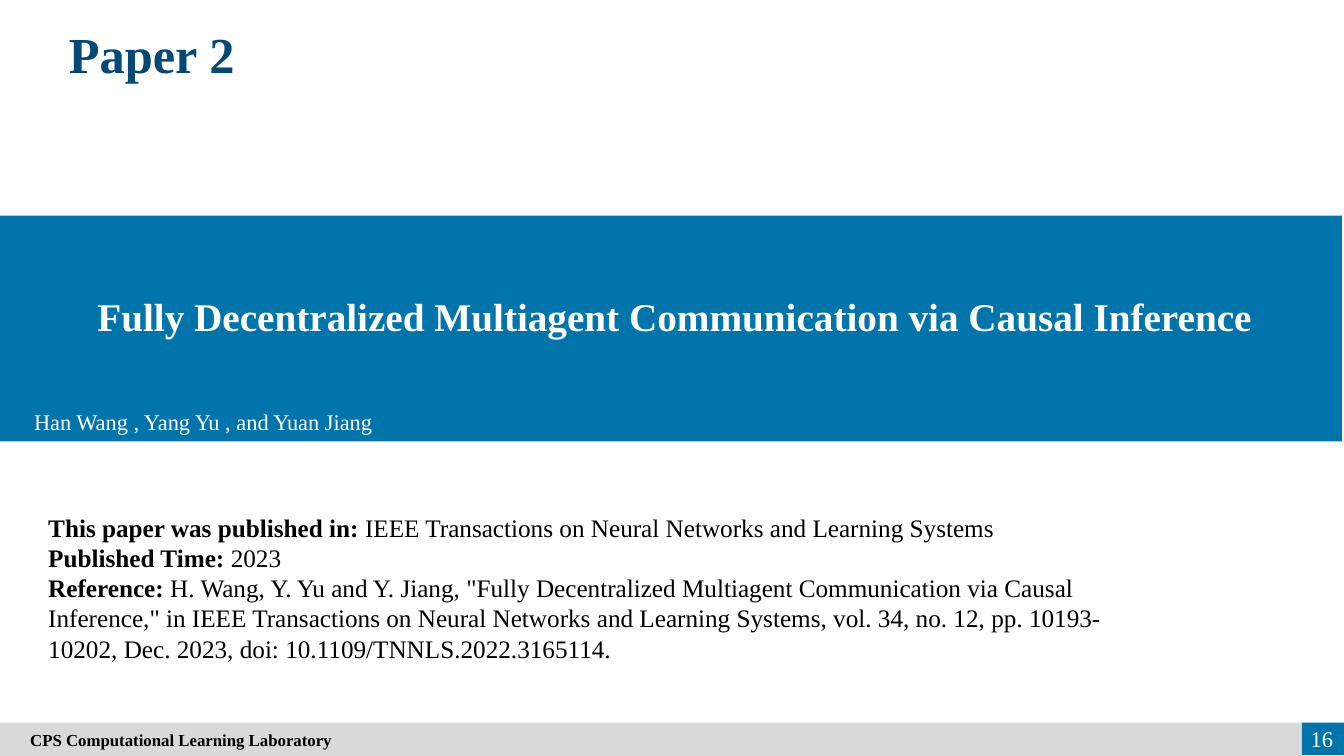
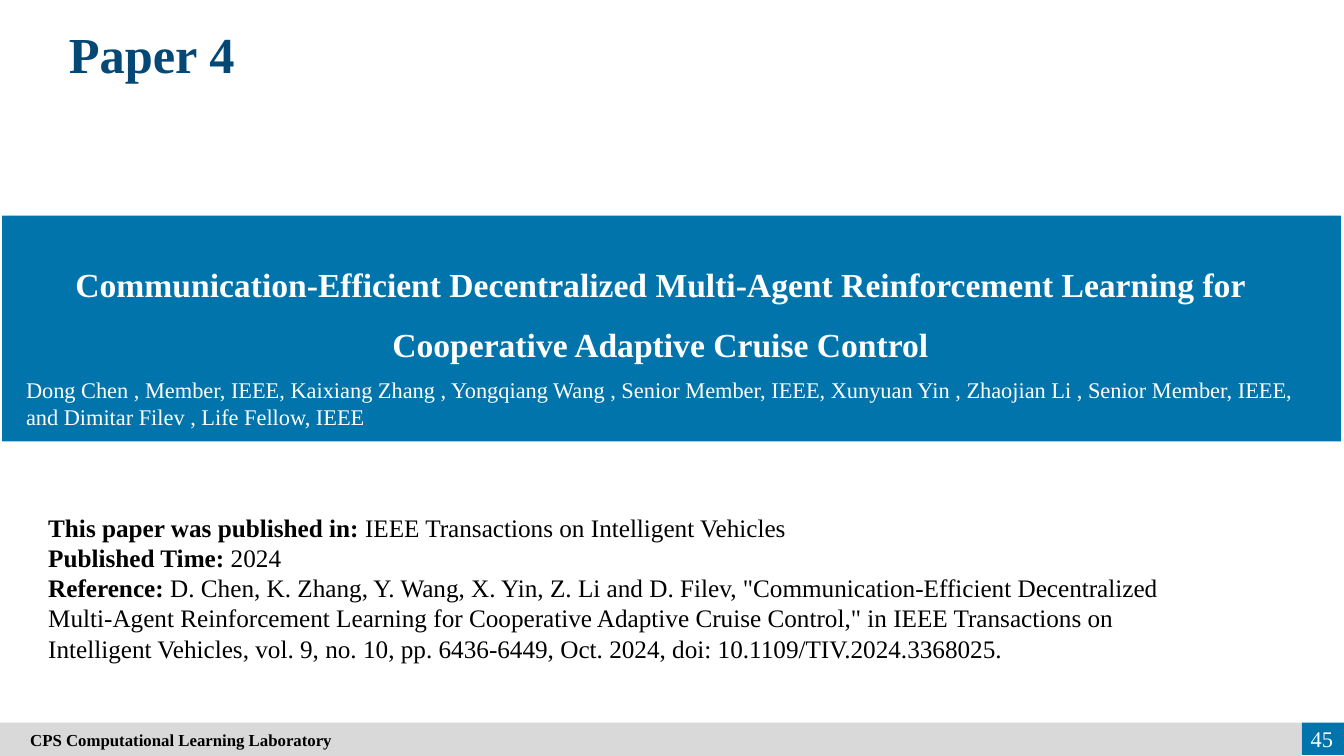
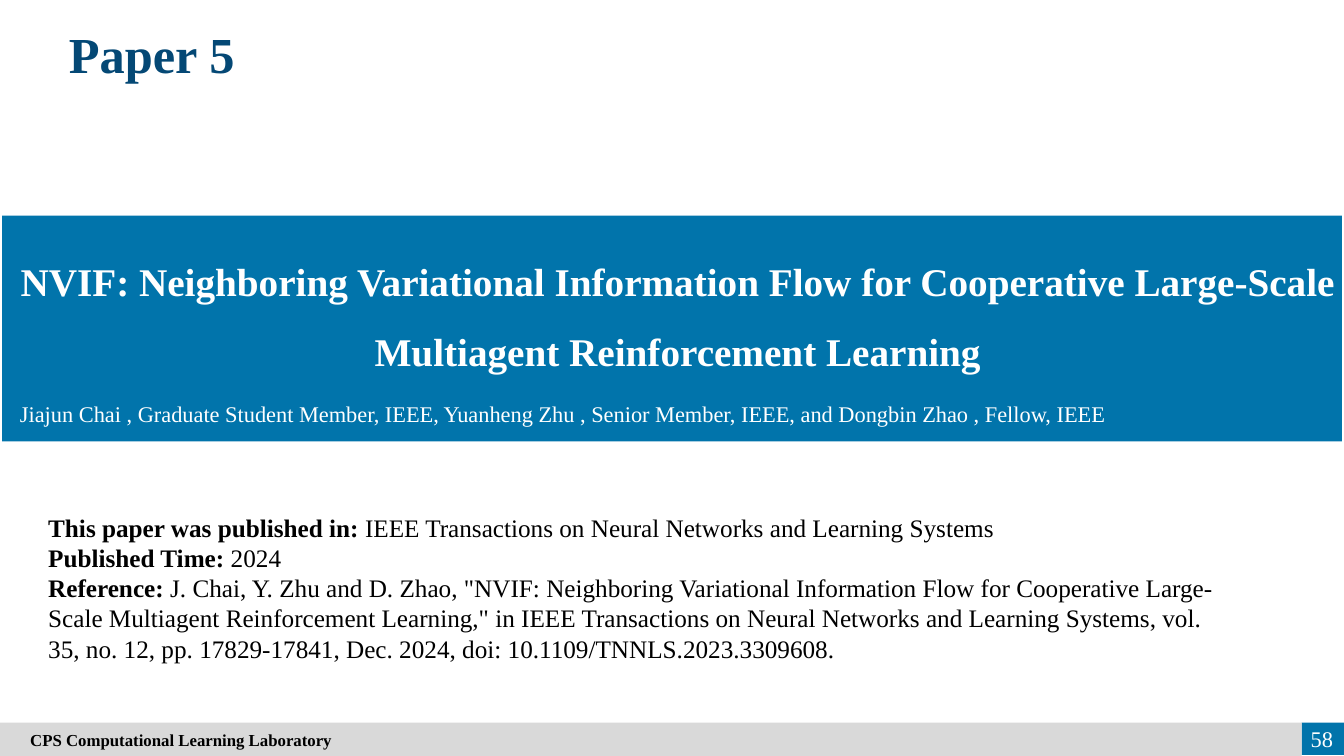
from dataclasses import dataclass

from pptx import Presentation
from pptx.dml.color import RGBColor
from pptx.enum import shapes, text
from pptx.util import Inches, Pt

FONT = "Times New Roman"
COLORS = {
    "band": "0174AB",
    "heading": "044875",
    "footer": "D9D9D9",
    "light": "FFFFFF",
    "dark": "000000",
}
LAB = "CPS Computational Learning Laboratory"
LEFT = text.PP_ALIGN.LEFT
CENTER = text.PP_ALIGN.CENTER
RIGHT = text.PP_ALIGN.RIGHT
TOP = text.MSO_ANCHOR.TOP
MIDDLE = text.MSO_ANCHOR.MIDDLE


@dataclass(frozen=True)
class Box:
    left: float
    top: float
    width: float
    height: float

    def lengths(self):
        return [Inches(v) for v in (self.left, self.top, self.width, self.height)]


@dataclass(frozen=True)
class Style:
    size: int
    color: str
    bold: bool = False
    align: text.PP_ALIGN = LEFT
    anchor: text.MSO_ANCHOR = TOP
    spacing: float = 1.0
    margin: float = 0.1


@dataclass(frozen=True)
class Paper:
    number: int
    page: int
    title: str
    title_box: Box
    title_size: int
    authors: str
    authors_left: float
    authors_top: float
    band_left: float
    band_width: float
    journal: str
    year: int
    reference: str
    details_width: float


HEADING = Style(36, "heading", bold=True, align=CENTER)
AUTHORS = Style(16, "light")
DETAILS = Style(18, "dark")
LAB_NAME = Style(12, "dark", bold=True, anchor=MIDDLE, margin=0.3)
PAGE = Style(16, "light", align=RIGHT, anchor=MIDDLE)

PAPERS = [
    Paper(
        number=2,
        page=16,
        title="Fully Decentralized Multiagent Communication via Causal Inference",
        title_box=Box(0.07, 2.61, 13.24, 0.81),
        title_size=28,
        authors="Han Wang , Yang Yu , and Yuan Jiang",
        authors_left=0.24,
        authors_top=4,
        band_left=0,
        band_width=13.31,
        journal="IEEE Transactions on Neural Networks and Learning Systems",
        year=2023,
        reference='H. Wang, Y. Yu and Y. Jiang, "Fully Decentralized Multiagent '
        'Communication via Causal Inference," in IEEE Transactions on Neural '
        "Networks and Learning Systems, vol. 34, no. 12, pp. 10193-10202, "
        "Dec. 2023, doi: 10.1109/TNNLS.2022.3165114.",
        details_width=10.85,
    ),
    Paper(
        number=4,
        page=45,
        title="Communication-Efficient Decentralized Multi-Agent Reinforcement "
        "Learning for Cooperative Adaptive Cruise Control",
        title_box=Box(0.03, 2.36, 13.04, 1.31),
        title_size=24,
        authors="Dong Chen , Member, IEEE, Kaixiang Zhang , Yongqiang Wang , "
        "Senior Member, IEEE, Xunyuan Yin , Zhaojian Li , Senior Member, IEEE, "
        "and Dimitar Filev , Life Fellow, IEEE",
        authors_left=0.16,
        authors_top=3.68,
        band_left=0.02,
        band_width=13.28,
        journal="IEEE Transactions on Intelligent Vehicles",
        year=2024,
        reference="D. Chen, K. Zhang, Y. Wang, X. Yin, Z. Li and D. Filev, "
        '"Communication-Efficient Decentralized Multi-Agent Reinforcement '
        'Learning for Cooperative Adaptive Cruise Control," in IEEE Transactions '
        "on Intelligent Vehicles, vol. 9, no. 10, pp. 6436-6449, Oct. 2024, "
        "doi: 10.1109/TIV.2024.3368025.",
        details_width=11.8,
    ),
    Paper(
        number=5,
        page=58,
        title="NVIF: Neighboring Variational Information Flow for Cooperative "
        "Large-Scale Multiagent Reinforcement Learning",
        title_box=Box(0.11, 2.26, 13.22, 1.51),
        title_size=28,
        authors="Jiajun Chai , Graduate Student Member, IEEE, Yuanheng Zhu , "
        "Senior Member, IEEE, and Dongbin Zhao , Fellow, IEEE",
        authors_left=0.1,
        authors_top=3.92,
        band_left=0.02,
        band_width=13.29,
        journal="IEEE Transactions on Neural Networks and Learning Systems",
        year=2024,
        reference='J. Chai, Y. Zhu and D. Zhao, "NVIF: Neighboring Variational '
        "Information Flow for Cooperative Large-Scale Multiagent Reinforcement "
        'Learning," in IEEE Transactions on Neural Networks and Learning Systems, '
        "vol. 35, no. 12, pp. 17829-17841, Dec. 2024, "
        "doi: 10.1109/TNNLS.2023.3309608.",
        details_width=11.87,
    ),
]


def rgb(name: str) -> RGBColor:
    return RGBColor.from_string(COLORS[name])


def style_paragraph(p, style: Style) -> None:
    p.alignment = style.align
    p.line_spacing = style.spacing
    p.font.name = FONT
    p.font.size = Pt(style.size)
    p.font.bold = style.bold
    p.font.color.rgb = rgb(style.color)


def setup_frame(sp, style: Style):
    tf = sp.text_frame
    tf.word_wrap = True
    tf.vertical_anchor = style.anchor
    tf.margin_left = tf.margin_right = Inches(style.margin)
    return tf


def write(sp, content: str, style: Style) -> None:
    p = setup_frame(sp, style).paragraphs[0]
    p.text = content
    style_paragraph(p, style)


def add_text(s, box: Box, content: str, style: Style) -> None:
    write(s.shapes.add_textbox(*box.lengths()), content, style)


def add_band(s, box: Box, color: str):
    sp = s.shapes.add_shape(shapes.MSO_SHAPE.RECTANGLE, *box.lengths())
    sp.shadow.inherit = False
    sp.fill.solid()
    sp.fill.fore_color.rgb = rgb(color)
    sp.line.fill.background()
    return sp


def add_details(s, paper: Paper) -> None:
    box = Box(0.38, 5.03, paper.details_width, 1.61)
    tf = setup_frame(s.shapes.add_textbox(*box.lengths()), DETAILS)
    entries = [
        ("This paper was published in: ", paper.journal),
        ("Published Time: ", str(paper.year)),
        ("Reference: ", paper.reference),
    ]
    for i, (label, value) in enumerate(entries):
        p = tf.add_paragraph() if i else tf.paragraphs[0]
        style_paragraph(p, DETAILS)
        r = p.add_run()
        r.text = label
        r.font.bold = True
        p.add_run().text = value


def add_footer(s, page: int) -> None:
    add_band(s, Box(12.91, 7.17, 0.42, 0.32), "band")
    write(add_band(s, Box(0, 7.17, 12.91, 0.33), "footer"), LAB, LAB_NAME)
    add_text(s, Box(12.69, 7.13, 0.63, 0.4), str(page), PAGE)


def add_paper(prs, paper: Paper) -> None:
    s = prs.slides.add_slide(prs.slide_layouts[6])
    title = Style(paper.title_size, "light", bold=True, align=CENTER,
                  anchor=MIDDLE, spacing=1.5, margin=0)
    add_band(s, Box(paper.band_left, 2.14, paper.band_width, 2.24), "band")
    add_text(s, paper.title_box, paper.title, title)
    authors_box = Box(paper.authors_left, paper.authors_top, 13.07, 0.37)
    add_text(s, authors_box, paper.authors, AUTHORS)
    add_text(s, Box(0.38, 0.18, 2.25, 0.71), f"Paper {paper.number}", HEADING)
    add_footer(s, paper.page)
    add_details(s, paper)


def main() -> None:
    prs = Presentation()
    prs.slide_width = Inches(13.33)
    prs.slide_height = Inches(7.5)
    for paper in PAPERS:
        add_paper(prs, paper)
    prs.save("out.pptx")


if __name__ == "__main__":
    main()
